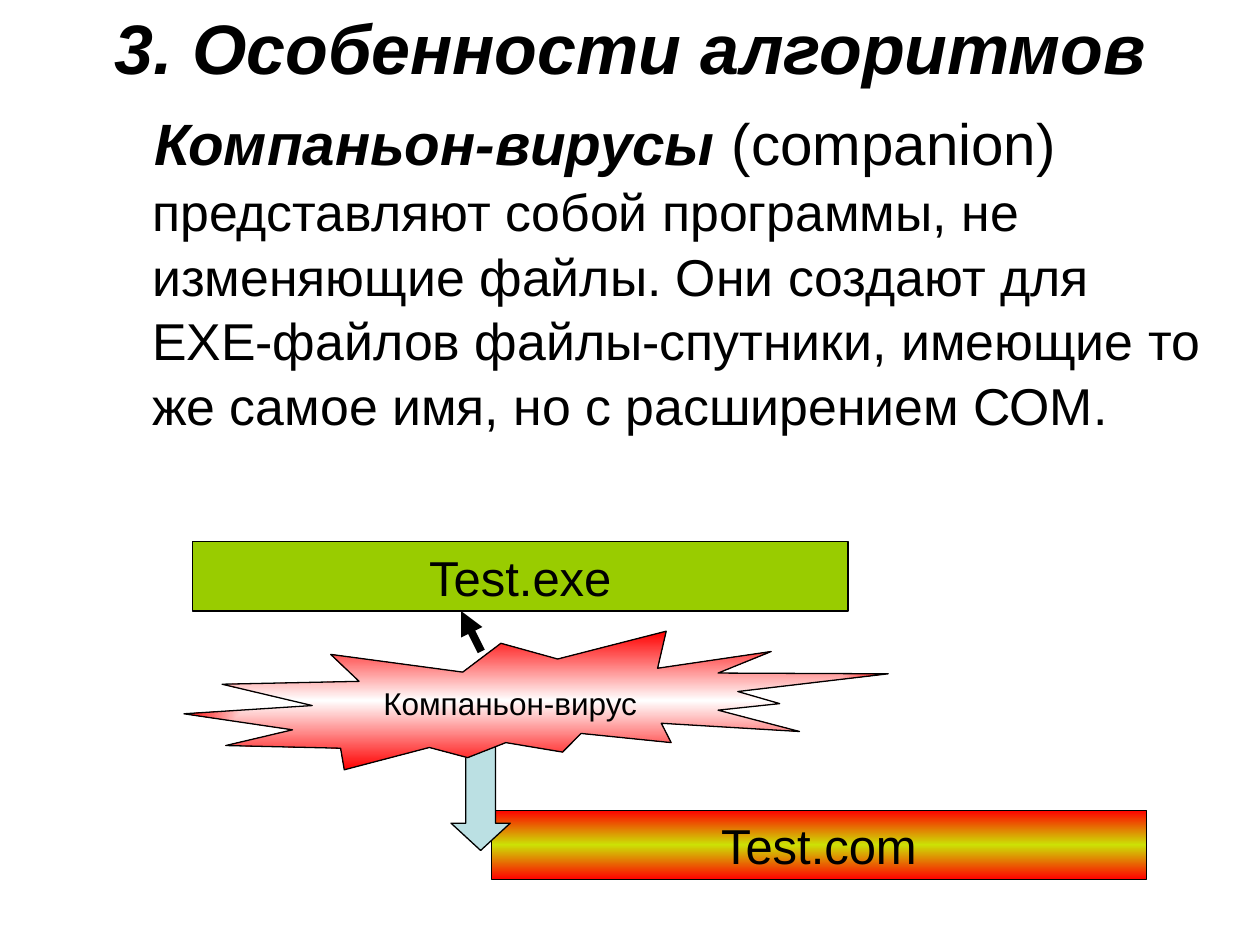
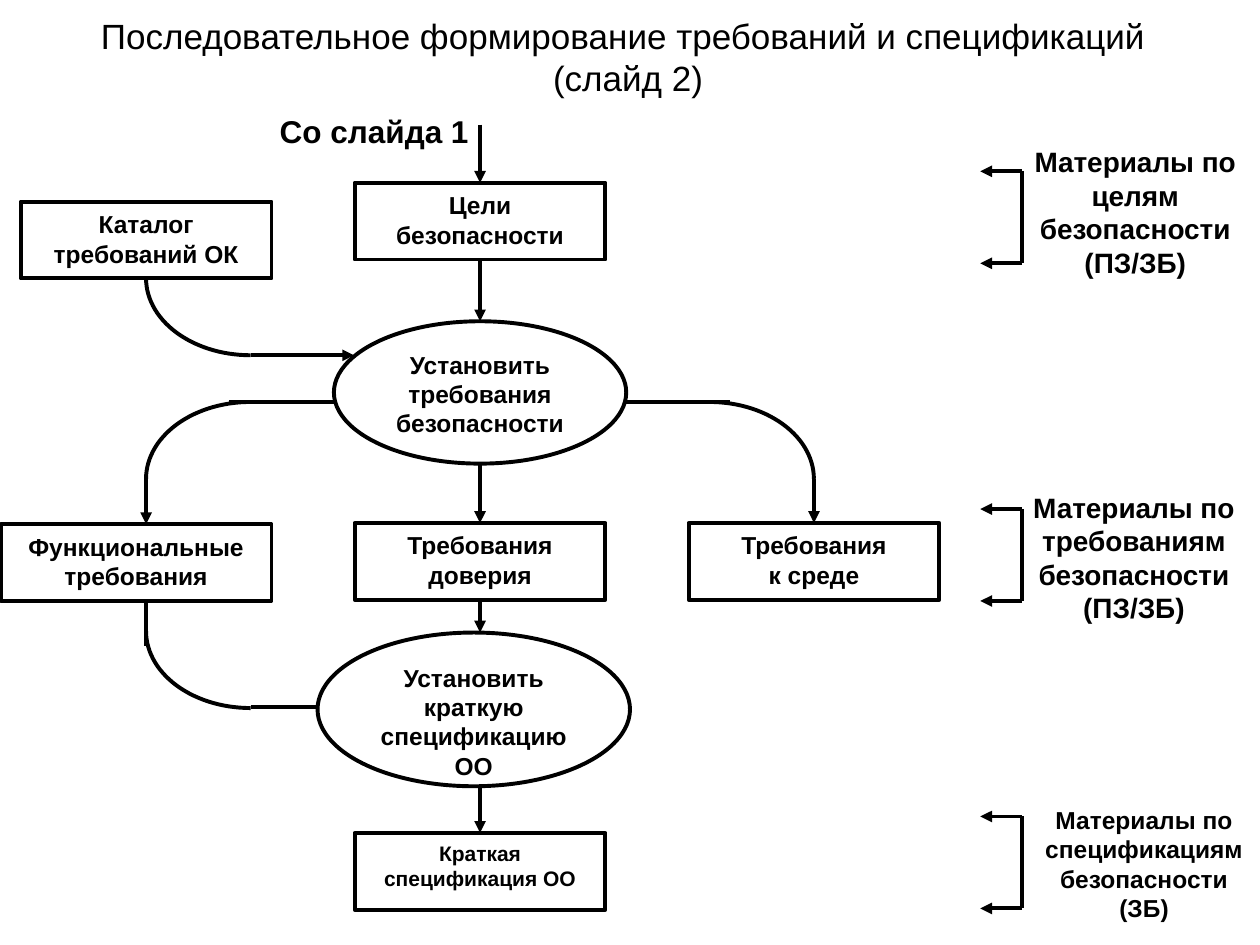
"""Build two slides: companion viruses and the flow of security requirements."""
from dataclasses import dataclass
from math import cos, radians, sin

from lxml.etree import SubElement
from pptx import Presentation
from pptx.dml.color import RGBColor
from pptx.enum.shapes import MSO_CONNECTOR as Link, MSO_SHAPE as Preset
from pptx.enum.text import MSO_ANCHOR as Anchor, PP_ALIGN as Align
from pptx.oxml.ns import qn
from pptx.util import Inches, Pt


@dataclass(frozen=True)
class Theme:
    """Colours, font, type sizes and line widths."""
    font: str = "Arial"
    ink: str = "000000"
    paper: str = "FFFFFF"
    green: str = "99CC00"
    yellow: str = "CCE105"
    red: str = "FF0000"
    pale_blue: str = "BBE0E3"
    heading: float = 40
    lead: float = 33.3
    body: float = 29.6
    lead_gap: float = 22.2
    file: float = 28
    subheading: float = 20
    label: float = 18
    note: float = 16
    step: float = 14
    small: float = 12
    hairline: float = 0.75
    stroke: float = 2.25
    heavy: float = 4.5


THEME = Theme()
WIDTH, HEIGHT = 10, 7.5

VIRUS_TITLE = "3. Особенности алгоритмов"
VIRUS_BODY = [
    ("Компаньон-вирусы", THEME.lead, True),
    (" (companion)", THEME.lead, False),
    (" ", THEME.lead_gap, False),
    ("представляют собой программы, не изменяющие файлы. Они создают для "
     "ЕХЕ-файлов файлы-спутники, имеющие то же самое имя, но с расширением СОМ.",
     THEME.body, False),
]
FILE_SIZE = (5.2, 0.55)
EXE_FILE = ("Test.exe", (1.53, 4.3))
COM_FILE = ("Test.com", (3.9, 6.43))
VIRUS = ("Компаньон-вирус", (1.46, 5.01, 5.59, 1.1))

FLOW_TITLE = "Последовательное формирование требований и спецификаций \n(слайд 2)"
FROM_SLIDE = "Со слайда 1"
COLUMNS = [1.16 + 2.65 * i for i in range(3)]
LEFT, MIDDLE, RIGHT = COLUMNS
CARD_WIDTH, CARD_HEIGHT = 1.99, 0.61
CARDS = {
    "goals": ("Цели\nбезопасности", MIDDLE, 1.45, THEME.step, 0),
    "catalogue": ("Каталог\nтребований ОК", LEFT, 1.6, THEME.step, 0),
    "trust": ("Требования\nдоверия", MIDDLE, 4.15, THEME.step, 0),
    "functions": ("Функциональные требования", LEFT, 4.16, THEME.step, 0.16),
    "environment": ("Требования\nк среде", RIGHT, 4.15, THEME.step, 0),
    "summary": ("Краткая\nспецификация ОО", MIDDLE, 6.61, THEME.small, 0),
}
ACTIONS = [
    ("Установить краткую\nспецификацию ОО", (2.52, 5.02, 2.48, 1.22)),
    ("Установить\nтребования\nбезопасности", (2.65, 2.55, 2.32, 1.13)),
]
DOWN_LINES = [
    (MIDDLE, 0.99, 1.45, True, None, "goals"),
    (MIDDLE, 2.06, 2.55, True, "goals", None),
    (MIDDLE, 3.68, 4.15, True, None, "trust"),
    (MIDDLE, 4.76, 5.02, True, "trust", None),
    (MIDDLE, 6.24, 6.61, True, None, "summary"),
    (LEFT, 3.8, 4.16, True, None, None),
    (LEFT, 4.76, 5.13, False, None, None),
    (RIGHT, 3.8, 4.15, True, None, "environment"),
]
ACROSS_LINES = [
    (1.99, 2.81, 2.82, True),
    (1.99, 2.65, 5.61, True),
    (1.82, 2.65, 3.19, False),
    (4.96, 5.79, 3.19, False),
]
BEND = (0.83, 0.61)
BENDS = [
    (LEFT + BEND[0], 2.21, 90),
    (LEFT + BEND[0], 5.01, 90),
    (LEFT + BEND[0], 3.8, 180),
    (RIGHT - BEND[0], 3.8, 270),
]
BRACKET_TIP, BRACKET_SPINE, BRACKET_HEIGHT = 7.78, 8.11, 0.73
NOTE_WIDTH = 1.84
NOTES = [
    ("целям", "(ПЗ/ЗБ)", THEME.note, 9.01, 1.1, 1.36),
    ("требованиям", "(ПЗ/ЗБ)", THEME.note, 9, 3.84, 4.04),
    ("спецификациям", "(ЗБ)", THEME.step, 9.08, 6.34, 6.48),
]


def rgb(colour):
    return RGBColor.from_string(colour)


def inches(values):
    return [Inches(value) for value in values]


def add_run(paragraph, text, size, bold=False, italic=False):
    for i, line in enumerate(text.split("\n")):
        if i:
            paragraph.add_line_break()
        run = paragraph.add_run()
        run.text = line
        font = run.font
        font.name, font.size = THEME.font, Pt(size)
        font.bold, font.italic = bold, italic
        font.color.rgb = rgb(THEME.ink)


def write(shape, lines, size, bold=False, italic=False, anchor=Anchor.TOP, wrap=True):
    frame = shape.text_frame
    frame.word_wrap, frame.vertical_anchor = wrap, anchor
    for i, line in enumerate(lines):
        paragraph = frame.add_paragraph() if i else frame.paragraphs[0]
        paragraph.alignment = Align.CENTER
        add_run(paragraph, line, size, bold, italic)


def add_label(slide, box, lines, size, **style):
    write(slide.shapes.add_textbox(*inches(box)), lines, size, **style)


def outline(shape, width):
    shape.line.color.rgb = rgb(THEME.ink)
    shape.line.width = Pt(width)


def add_figure(slide, preset, box, fill, width):
    figure = slide.shapes.add_shape(preset, *inches(box))
    figure.shadow.inherit = False
    figure.fill.solid()
    figure.fill.fore_color.rgb = rgb(fill)
    outline(figure, width)
    return figure


def fill_gradient(figure, colours, from_centre=False):
    """Spread the colours evenly, top to bottom or from the centre outwards."""
    properties = figure.element.spPr
    gradient = SubElement(properties, qn("a:gradFill"), rotWithShape="1")
    properties.replace(properties.find(qn("a:solidFill")), gradient)
    stops = SubElement(gradient, qn("a:gsLst"))
    for i, colour in enumerate(colours):
        stop = SubElement(stops, qn("a:gs"), pos=str(100000 * i // (len(colours) - 1)))
        SubElement(stop, qn("a:srgbClr"), val=colour)
    if from_centre:
        rings = SubElement(gradient, qn("a:path"), path="rect")
        SubElement(rings, qn("a:fillToRect"), {side: "50000" for side in "ltrb"})
    else:
        SubElement(gradient, qn("a:lin"), ang="5400000", scaled="1")


def add_line(slide, start, end, arrow=False, width=THEME.stroke, above=None, below=None):
    line = slide.shapes.add_connector(Link.STRAIGHT, *inches((*start, *end)))
    if above is not None:
        line.begin_connect(above, 2)
    if below is not None:
        line.end_connect(below, 0)
    outline(line, width)
    properties = line.element.spPr
    if arrow:
        SubElement(properties.find(qn("a:ln")), qn("a:tailEnd"), type="triangle")
    SubElement(properties, qn("a:effectLst"))


def add_bend(slide, centre_x, centre_y, start):
    points = [
        (Inches(centre_x + BEND[0] * cos(radians(angle))),
         Inches(centre_y + BEND[1] * sin(radians(angle))))
        for angle in range(start, start + 91, 3)
    ]
    builder = slide.shapes.build_freeform(*points[0])
    builder.add_line_segments(points[1:], close=False)
    bend = builder.convert_to_shape()
    bend.shadow.inherit = False
    bend.fill.background()
    outline(bend, THEME.stroke)


def add_file(slide, name, place, fill):
    bar = add_figure(slide, Preset.RECTANGLE, (*place, *FILE_SIZE), fill, THEME.hairline)
    write(bar, [name], THEME.file, anchor=Anchor.MIDDLE, wrap=False)
    return bar


def build_virus_slide(slide):
    com_bar = add_file(slide, *COM_FILE, THEME.red)
    fill_gradient(com_bar, [THEME.red, THEME.yellow, THEME.red])
    drop = add_figure(slide, Preset.DOWN_ARROW, (3.58, 5.88, 0.47, 0.87),
                      THEME.pale_blue, THEME.hairline)
    drop.adjustments[1] = 0.46
    add_label(slide, (0.05 * WIDTH, 0.05, 0.9 * WIDTH, 0.64), [VIRUS_TITLE], THEME.heading,
              bold=True, italic=True, anchor=Anchor.MIDDLE)

    story = slide.shapes.add_textbox(*inches((0.73, 0.78, 0.9 * WIDTH, 2.94)))
    story.text_frame.word_wrap = True
    paragraph = story.text_frame.paragraphs[0]
    paragraph.line_spacing = 1.04
    indents = paragraph._p.get_or_add_pPr()
    indents.set("marL", str(Inches(0.38)))
    indents.set("indent", str(Inches(0.02)))
    for text, size, strong in VIRUS_BODY:
        add_run(paragraph, text, size, strong, strong)

    add_file(slide, *EXE_FILE, THEME.green)
    name, box = VIRUS
    burst = add_figure(slide, Preset.EXPLOSION2, box, THEME.red, THEME.hairline)
    fill_gradient(burst, [THEME.paper, THEME.red], from_centre=True)
    write(burst, [name], THEME.label, anchor=Anchor.MIDDLE, wrap=False)
    add_line(slide, (3.82, 5.17), (3.66, 4.85), True, THEME.heavy)


def add_step(slide, preset, box, text, size):
    step = add_figure(slide, preset, box, THEME.paper, THEME.stroke)
    step.text_frame.margin_top = Inches(0.06)
    write(step, [text], size, bold=True)
    return step


def build_flow_slide(slide):
    add_label(slide, (0.16, 0.05, 9.65, 0.79), [FLOW_TITLE], THEME.subheading,
              anchor=Anchor.MIDDLE)
    cards = {}
    for key, (text, centre, top, size, extra) in CARDS.items():
        box = (centre - CARD_WIDTH / 2 - extra, top, CARD_WIDTH + extra, CARD_HEIGHT)
        cards[key] = add_step(slide, Preset.RECTANGLE, box, text, size)
    for bend in BENDS:
        add_bend(slide, *bend)
    for x, top, bottom, arrow, above, below in DOWN_LINES:
        add_line(slide, (x, top), (x, bottom), arrow,
                 above=cards.get(above), below=cards.get(below))
    for left, right, y, arrow in ACROSS_LINES:
        add_line(slide, (left, y), (right, y), arrow)
    for text, box in ACTIONS:
        add_step(slide, Preset.OVAL, box, text, THEME.step)

    for topic, document, size, centre, top, bracket in NOTES:
        foot = bracket + BRACKET_HEIGHT
        for y in (bracket, foot):
            add_line(slide, (BRACKET_SPINE, y), (BRACKET_TIP, y), True)
        add_line(slide, (BRACKET_SPINE, bracket), (BRACKET_SPINE, foot))
        add_label(slide, (centre - NOTE_WIDTH / 2, top, NOTE_WIDTH, HEIGHT - 6.38),
                  ["Материалы по", topic, "безопасности", document], size, bold=True)
    add_label(slide, (1.89, 0.84, 2.16, 0.4), [FROM_SLIDE], THEME.label, bold=True)


def main():
    deck = Presentation()
    deck.slide_width, deck.slide_height = inches((WIDTH, HEIGHT))
    for build in (build_virus_slide, build_flow_slide):
        build(deck.slides.add_slide(deck.slide_layouts[6]))
    deck.save("out.pptx")


if __name__ == "__main__":
    main()
